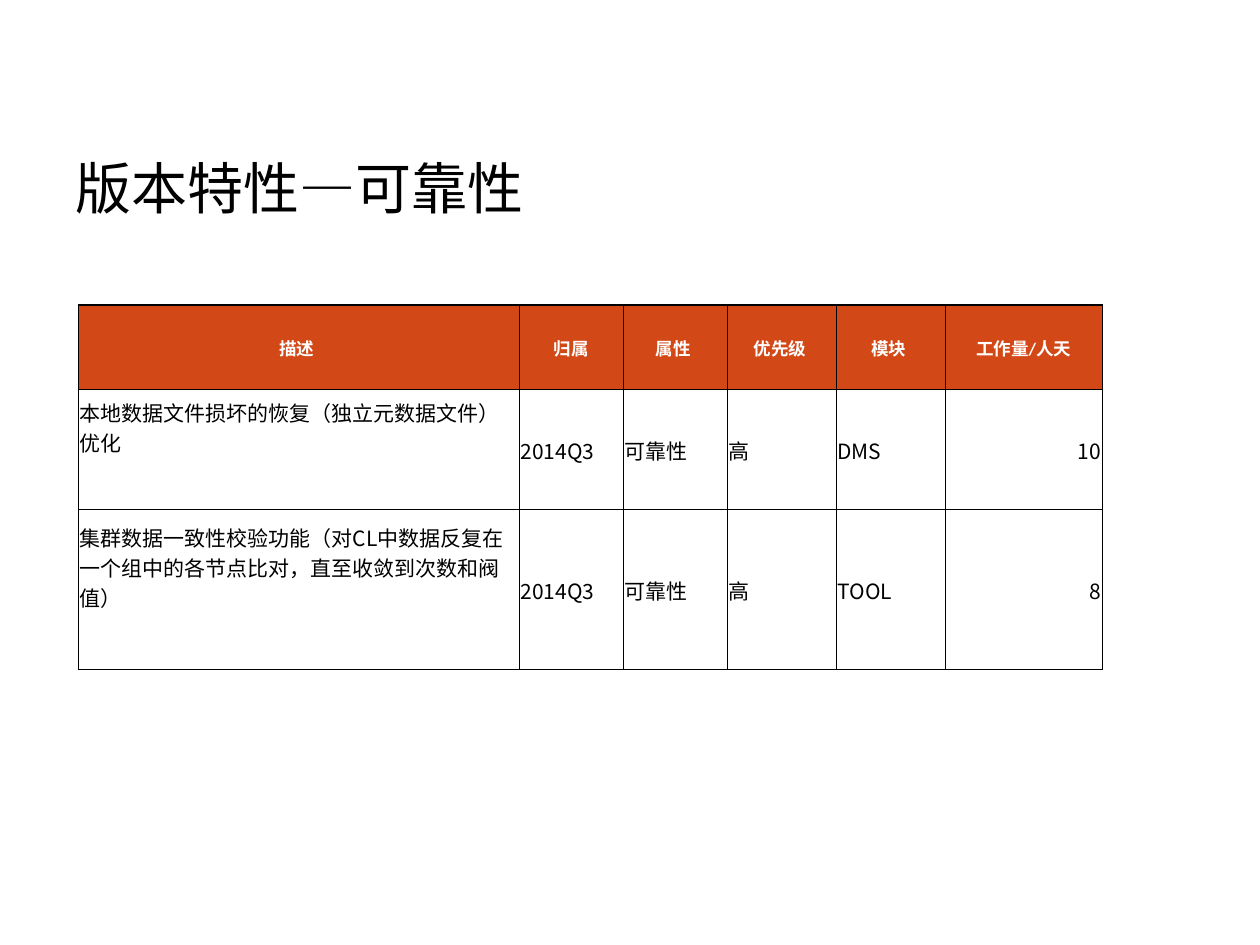
from dataclasses import dataclass

from lxml.etree import SubElement
from pptx import Presentation
from pptx.dml.color import RGBColor
from pptx.enum.text import MSO_ANCHOR, PP_ALIGN
from pptx.oxml.ns import qn
from pptx.util import Pt


@dataclass(frozen=True)
class Theme:
    black: str = "000000"
    white: str = "FFFFFF"
    orange: str = "D34817"
    latin: str = "Arial"
    slash: str = "Calibri"
    chinese: str = "Noto Sans CJK SC"
    title_size: float = 32
    header_size: float = 10
    body_size: float = 12
    thin: float = 0.5
    thick: float = 1


@dataclass(frozen=True)
class Style:
    size: float
    color: str
    bold: bool = False


@dataclass(frozen=True)
class Span:
    text: str
    font: str


@dataclass(frozen=True)
class Feature:
    description: str
    release: str
    attribute: str
    priority: str
    module: str
    days: int


THEME = Theme()
TITLE = Style(THEME.title_size, THEME.black)
HEADER = Style(THEME.header_size, THEME.white, True)
BODY = Style(THEME.body_size, THEME.black)

COLUMN_WIDTHS = (252, 59.4, 59.4, 62.3, 62.3, 89.7)
ROW_HEIGHTS = (48.3, 68.6, 91.4)
HEADINGS = (
    (Span("描述 ", THEME.latin),),
    (Span("归属", THEME.chinese),),
    (Span("属性 ", THEME.latin),),
    (Span("优先级 ", THEME.latin),),
    (Span("模块 ", THEME.latin),),
    (Span("工作量", THEME.latin), Span("/", THEME.slash), Span("人天", THEME.latin)),
)
FEATURES = (
    Feature("本地数据文件损坏的恢复（独立元数据文件）优化",
            "2014Q3", "可靠性", "高", "DMS", 10),
    Feature("集群数据一致性校验功能（对CL中数据反复在一个组中的各节点比对，直至收敛到次数和阀值）",
            "2014Q3", "可靠性", "高", "TOOL", 8),
)


def add_span(para, span: Span, style: Style) -> None:
    run = para.add_run()
    run.text = span.text
    font = run.font
    font.name = span.font
    font.size = Pt(style.size)
    font.bold = style.bold
    font.color.rgb = RGBColor.from_string(style.color)
    latin = font._element.find(qn("a:latin"))
    east_asian = latin.makeelement(qn("a:ea"), {"typeface": THEME.chinese})
    latin.addnext(east_asian)


def add_borders(cell, top_width: float) -> None:
    properties = cell._tc.get_or_add_tcPr()
    widths = {"lnL": THEME.thin, "lnR": THEME.thin, "lnT": top_width, "lnB": THEME.thin}
    for side, width in widths.items():
        line = SubElement(properties, qn(f"a:{side}"), w=str(Pt(width)))
        fill = SubElement(line, qn("a:solidFill"))
        SubElement(fill, qn("a:srgbClr"), val=THEME.black)


def format_cell(cell, top_width: float = THEME.thin) -> None:
    cell.margin_left = cell.margin_top = cell.margin_right = Pt(0.75)
    cell.margin_bottom = Pt(0)
    cell.vertical_anchor = MSO_ANCHOR.MIDDLE
    add_borders(cell, top_width)


def fill_header(cell, spans: tuple[Span, ...]) -> None:
    format_cell(cell, THEME.thick)
    cell.fill.solid()
    cell.fill.fore_color.rgb = RGBColor.from_string(THEME.orange)
    para = cell.text_frame.paragraphs[0]
    para.alignment = PP_ALIGN.CENTER
    for span in spans:
        add_span(para, span, HEADER)


def fill_body(cell, text: str, alignment: PP_ALIGN):
    format_cell(cell)
    cell.fill.background()
    para = cell.text_frame.paragraphs[0]
    para.alignment = alignment
    add_span(para, Span(text, THEME.chinese), BODY)
    return para


def add_title(page, text: str) -> None:
    box = page.shapes.add_textbox(Pt(36), Pt(62), Pt(648), Pt(90))
    frame = box.text_frame
    frame.word_wrap = True
    frame.vertical_anchor = MSO_ANCHOR.MIDDLE
    add_span(frame.paragraphs[0], Span(text, THEME.latin), TITLE)


def add_feature_table(page) -> None:
    table = page.shapes.add_table(
        len(ROW_HEIGHTS), len(COLUMN_WIDTHS), Pt(44.8), Pt(174.3),
        Pt(sum(COLUMN_WIDTHS)), Pt(sum(ROW_HEIGHTS))).table
    table.horz_banding = False
    for column, width in zip(table.columns, COLUMN_WIDTHS):
        column.width = Pt(width)
    for row, height in zip(table.rows, ROW_HEIGHTS):
        row.height = Pt(height)
    for index, spans in enumerate(HEADINGS):
        fill_header(table.cell(0, index), spans)
    for row_index, feature in enumerate(FEATURES, start=1):
        description = fill_body(table.cell(row_index, 0), feature.description, PP_ALIGN.LEFT)
        description.add_line_break()
        labels = (feature.release, feature.attribute, feature.priority, feature.module)
        for index, label in enumerate(labels, start=1):
            fill_body(table.cell(row_index, index), label, PP_ALIGN.LEFT)
        fill_body(table.cell(row_index, 5), str(feature.days), PP_ALIGN.RIGHT)


def main() -> None:
    deck = Presentation()
    deck.slide_width, deck.slide_height = Pt(720), Pt(540)
    page = deck.slides.add_slide(deck.slide_layouts[6])
    add_title(page, "版本特性—可靠性")
    add_feature_table(page)
    deck.save("out.pptx")


if __name__ == "__main__":
    main()
